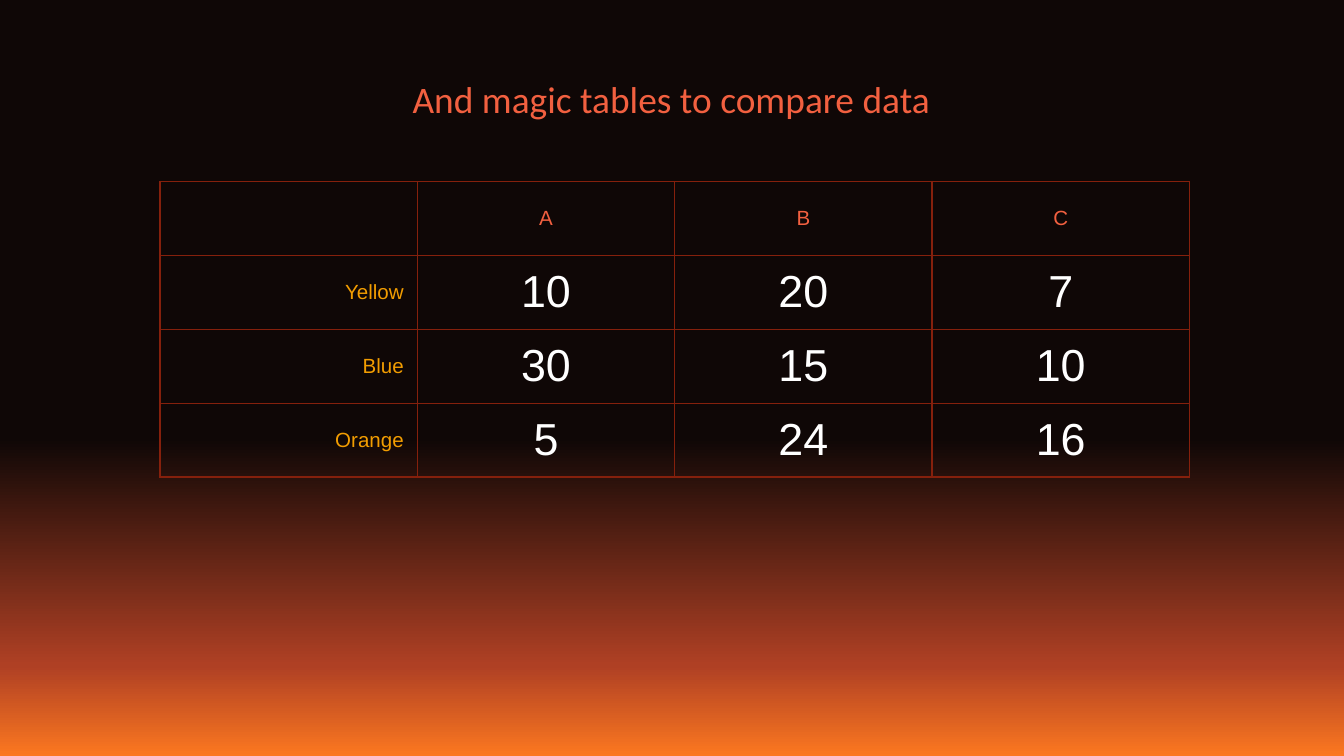
import pptx
import pptx.dml.color
import pptx.enum.text
import pptx.oxml
import pptx.oxml.ns
import pptx.util
from pptx.util import Inches

COLORS = {
    "night": "0F0706",
    "ember": "AF4024",
    "flame": "FB7720",
    "coral": "F26040",
    "amber": "F29D01",
    "white": "FFFFFF",
    "border": "85200C",
}
BACKGROUND_STOPS = [(0, "night"), (58, "night"), (88, "ember"), (100, "flame")]
COMPARISON = [
    ["", "A", "B", "C"],
    ["Yellow", "10", "20", "7"],
    ["Blue", "30", "15", "10"],
    ["Orange", "5", "24", "16"],
]
SLIDE_WIDTH = Inches(10)
SLIDE_HEIGHT = SLIDE_WIDTH * 9 // 16
TABLE_WIDTH = Inches(7.66)
ROW_HEIGHT = Inches(0.55)
ALIGN = pptx.enum.text.PP_ALIGN
MIDDLE = pptx.enum.text.MSO_ANCHOR.MIDDLE
NAMESPACE = pptx.oxml.ns.nsdecls("a")


def write_text(frame, text, *, size, color, font="Arial", align=ALIGN.CENTER):
    paragraph = frame.paragraphs[0]
    paragraph.text = text
    paragraph.alignment = align
    paragraph.font.size = pptx.util.Pt(size)
    paragraph.font.name = font
    paragraph.font.color.rgb = pptx.dml.color.RGBColor.from_string(COLORS[color])


def paint_background(slide):
    """Fill the slide with a gradient that runs from top to bottom."""
    fill = slide.background.fill
    fill.gradient()
    fill.gradient_angle = 270
    stops = slide.element.find(".//" + pptx.oxml.ns.qn("a:gsLst"))
    for old_stop in list(stops):
        stops.remove(old_stop)
    for percent, color in BACKGROUND_STOPS:
        stops.append(pptx.oxml.parse_xml(
            f'<a:gs {NAMESPACE} pos="{percent * 1000}">'
            f'<a:srgbClr val="{COLORS[color]}"/></a:gs>'))


def add_title(slide, text):
    title = slide.shapes.add_textbox(Inches(1.1), Inches(0.42), Inches(7.79), Inches(0.63))
    frame = title.text_frame
    frame.word_wrap = True
    frame.vertical_anchor = MIDDLE
    frame.margin_left = frame.margin_right = Inches(0.1)
    frame.margin_top = frame.margin_bottom = Inches(0.1)
    write_text(frame, text, size=20, color="coral", font="Calibri")


def outline_cell(cell):
    properties = cell._tc.get_or_add_tcPr()
    for position, side in enumerate("LRTB"):
        properties.insert(position, pptx.oxml.parse_xml(
            f'<a:ln{side} {NAMESPACE} w="{pptx.util.Pt(0.75)}"><a:solidFill>'
            f'<a:srgbClr val="{COLORS["border"]}"/></a:solidFill></a:ln{side}>'))


def cell_format(row, column):
    if row == 0:
        return {"size": 11, "color": "coral"}
    if column == 0:
        return {"size": 11, "color": "amber", "align": ALIGN.RIGHT}
    return {"size": 24, "color": "white"}


def add_comparison_table(slide, rows):
    row_count, column_count = len(rows), len(rows[0])
    table = slide.shapes.add_table(
        row_count, column_count, Inches(1.19), Inches(1.35),
        TABLE_WIDTH, ROW_HEIGHT * row_count).table
    table.first_row = False
    table.horz_banding = False
    for r, values in enumerate(rows):
        for c, value in enumerate(values):
            cell = table.cell(r, c)
            cell.fill.background()
            cell.vertical_anchor = MIDDLE
            cell.margin_left = cell.margin_right = Inches(0.1)
            cell.margin_top = cell.margin_bottom = Inches(0.07)
            outline_cell(cell)
            write_text(cell.text_frame, value, **cell_format(r, c))


def main():
    deck = pptx.Presentation()
    deck.slide_width = SLIDE_WIDTH
    deck.slide_height = SLIDE_HEIGHT
    slide = deck.slides.add_slide(deck.slide_layouts[6])
    paint_background(slide)
    add_title(slide, "And magic tables to compare data")
    add_comparison_table(slide, COMPARISON)
    deck.save("out.pptx")


if __name__ == "__main__":
    main()
